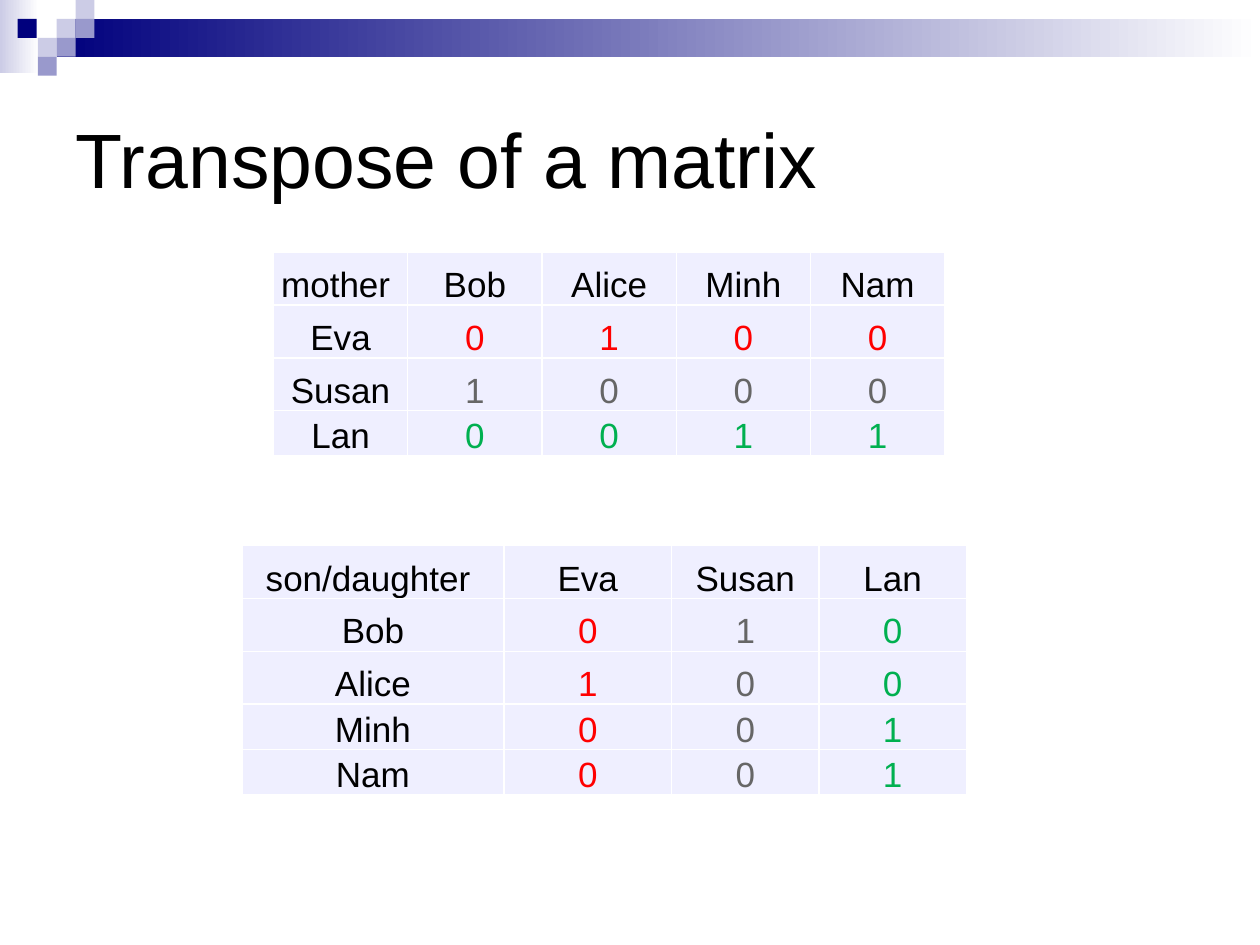
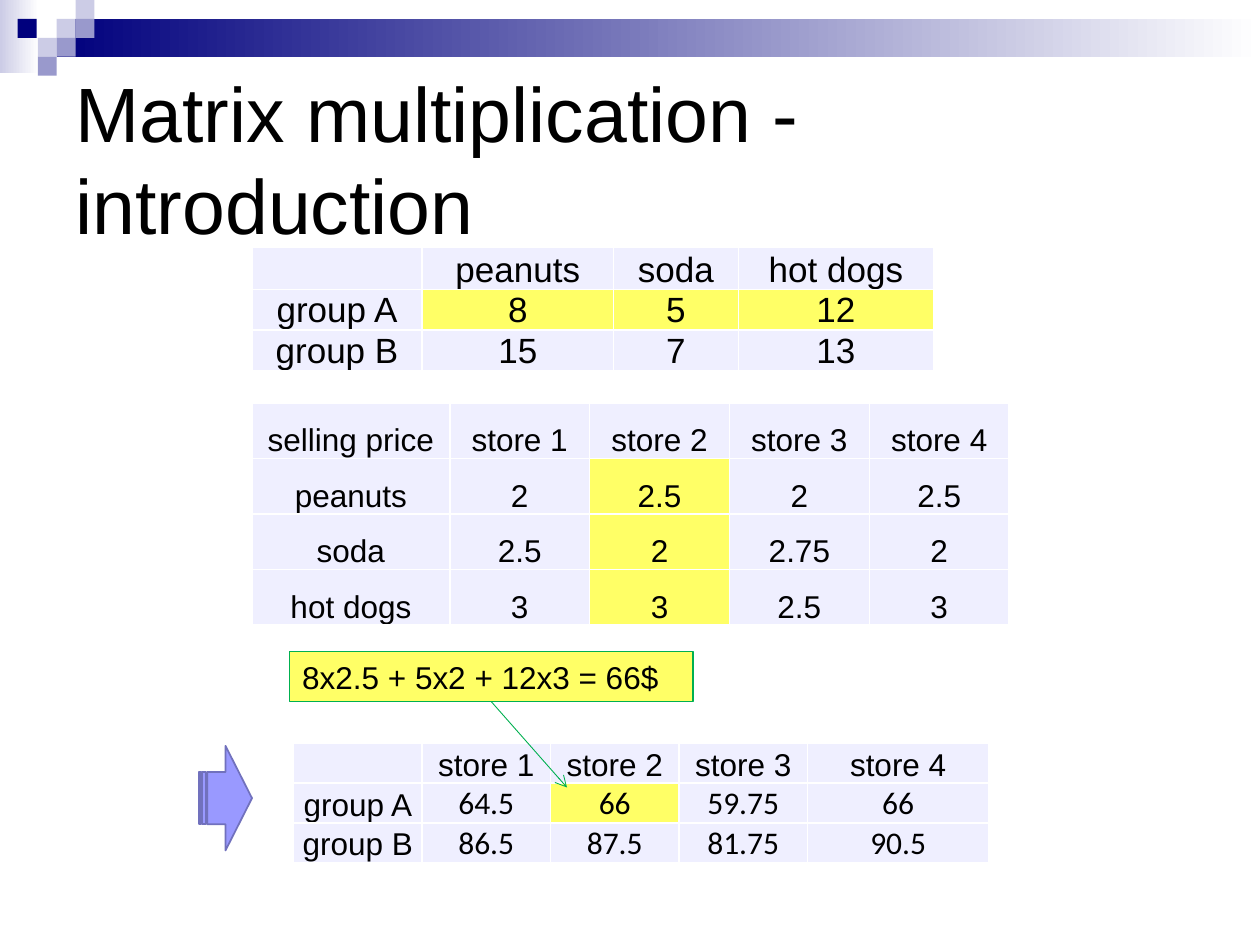
from dataclasses import dataclass

from lxml import etree
from pptx import Presentation
from pptx.dml.color import RGBColor
from pptx.enum.dml import MSO_THEME_COLOR
from pptx.enum.shapes import MSO_CONNECTOR, MSO_SHAPE
from pptx.enum.text import MSO_ANCHOR, PP_ALIGN
from pptx.oxml.ns import qn
from pptx.shapes.autoshape import Shape
from pptx.slide import Slide, SlideLayout
from pptx.table import _Cell
from pptx.util import Inches, Pt

RECTANGLE = MSO_SHAPE.RECTANGLE
STRIPED_ARROW = MSO_SHAPE.STRIPED_RIGHT_ARROW
STRAIGHT = MSO_CONNECTOR.STRAIGHT
MIDDLE = MSO_ANCHOR.MIDDLE
BOTTOM = MSO_ANCHOR.BOTTOM
TOP = MSO_ANCHOR.TOP
CENTER = PP_ALIGN.CENTER
LEFT = PP_ALIGN.LEFT
BACKGROUND = MSO_THEME_COLOR.BACKGROUND_1

BLACK = RGBColor(0x00, 0x00, 0x00)
WHITE = RGBColor(0xFF, 0xFF, 0xFF)
NAVY = RGBColor(0x00, 0x00, 0x7D)
LAVENDER = RGBColor(0xCC, 0xCC, 0xE6)
PERIWINKLE = RGBColor(0x99, 0x99, 0xCC)
ARROW_FILL = RGBColor(0x99, 0x99, 0xFF)
ARROW_LINE = RGBColor(0x71, 0x71, 0xBD)
CELL_FILL = RGBColor(0xEF, 0xEF, 0xFF)
YELLOW = RGBColor(0xFF, 0xFF, 0x66)
RED = RGBColor(0xFF, 0x00, 0x00)
GRAY = RGBColor(0x66, 0x66, 0x66)
GREEN = RGBColor(0x00, 0xB0, 0x50)

FONT = "Arial"
NUMBER_FONT = "Calibri"


@dataclass(frozen=True)
class Block:
    left: float
    top: float
    width: float
    height: float
    color: RGBColor
    fades: bool = False


@dataclass(frozen=True)
class Matrix:
    left: float
    top: float
    column_widths: tuple[float, ...]
    row_heights: tuple[float, ...]
    rows: tuple[tuple[str, ...], ...]
    size: int
    row_colors: tuple[RGBColor, ...] = ()
    column_colors: tuple[RGBColor, ...] = ()
    highlights: tuple[tuple[int, int], ...] = ()
    body_font: str = FONT


SQUARE = 0.15
BAND_BLOCKS = (
    Block(0, 0, 0.31, 0.58, LAVENDER, True),
    Block(0.45, 0.15, 9.55, 0.3, NAVY, True),
    *(
        Block(left, top, SQUARE, SQUARE, color)
        for left, top, color in (
            (0.45, 0.15, LAVENDER),
            (0.6, 0, LAVENDER),
            (0.6, 0.15, PERIWINKLE),
            (0.3, 0.3, LAVENDER),
            (0.14, 0.15, NAVY),
            (0.45, 0.3, PERIWINKLE),
            (0.3, 0.45, PERIWINKLE),
        )
    ),
)

PARENT_COLORS = (RED, GRAY, GREEN)
MOTHERS = (
    ("mother ", "Bob", "Alice", "Minh", "Nam"),
    ("Eva", "0", "1", "0", "0"),
    ("Susan", "1", "0", "0", "0"),
    ("Lan", "0", "0", "1", "1"),
)
CHILDREN_HEADER, *CHILDREN = zip(*MOTHERS)
CHILDREN_ROWS = (("son/daughter ", *CHILDREN_HEADER[1:]), *CHILDREN)

TRANSPOSE_MATRICES = (
    Matrix(2.17, 2, (1.066,) * 5, (0.42,) * 3 + (0.36,), MOTHERS, 20,
           row_colors=PARENT_COLORS),
    Matrix(1.92, 4.33, (2.08, 1.33, 1.17, 1.17), (0.42,) * 3 + (0.36,) * 2,
           CHILDREN_ROWS, 20, column_colors=PARENT_COLORS),
)

STORES = tuple(f"store {number}" for number in range(1, 5))
PRODUCT_MATRICES = (
    Matrix(2, 1.96, (1.35, 1.52, 0.99, 1.55), (0.34, 0.32, 0.32), (
        ("", "peanuts", "soda", "hot dogs"),
        ("group A", "8", "5", "12"),
        ("group B", "15", "7", "13"),
    ), 20, highlights=((1, 1), (1, 2), (1, 3))),
    Matrix(2, 3.2, (1.57,) + (1.11,) * 4, (0.44,) * 4, (
        ("selling price", *STORES),
        ("peanuts", "2", "2.5", "2", "2.5"),
        ("soda", "2.5", "2", "2.75", "2"),
        ("hot dogs", "3", "3", "2.5", "3"),
    ), 18, highlights=((1, 2), (2, 2), (3, 2))),
    Matrix(2.33, 5.9, (1.02,) * 4 + (1.44,), (0.31,) * 3, (
        ("", *STORES),
        ("group A", "64.5", "66", "59.75", "66"),
        ("group B", "86.5", "87.5", "81.75", "90.5"),
    ), 18, highlights=((1, 2),), body_font=NUMBER_FONT),
)


def add_block(slide: Slide, block: Block) -> Shape:
    shape = slide.shapes.add_shape(
        RECTANGLE, Inches(block.left), Inches(block.top),
        Inches(block.width), Inches(block.height))
    shape.shadow.inherit = False
    shape.line.fill.background()
    if block.fades:
        shape.fill.gradient()
        shape.fill.gradient_angle = 0
        for stop, color, position in zip(
                shape.fill.gradient_stops, (block.color, WHITE), (0, 1)):
            stop.color.rgb = color
            stop.position = position
    else:
        shape.fill.solid()
        shape.fill.fore_color.rgb = block.color
    return shape


def add_band_to_layout(slide: Slide, layout: SlideLayout) -> None:
    for placeholder in list(layout.placeholders):
        if placeholder.placeholder_format.idx != 0:
            layout.shapes.element.remove(placeholder.element)
    shapes = [add_block(slide, block) for block in BAND_BLOCKS]
    for position, shape in enumerate(shapes, start=2):
        layout.shapes.element.insert(position, shape.element)


def format_title(slide: Slide, text: str) -> None:
    title = slide.shapes.title
    title.left, title.top = Inches(0.5), Inches(0.5)
    title.width, title.height = Inches(9), Inches(1.5)
    title.text_frame.text = text
    title.text_frame.vertical_anchor = MIDDLE
    title.text_frame.word_wrap = True
    paragraph = title.text_frame.paragraphs[0]
    paragraph.alignment = LEFT
    style_runs(paragraph, FONT, 44, BLACK)


def style_runs(paragraph, font_name: str, size: int, color: RGBColor) -> None:
    for run in paragraph.runs:
        run.font.name = font_name
        run.font.size = Pt(size)
        run.font.bold = False
        run.font.color.rgb = color


def add_borders(cell: _Cell) -> None:
    properties = cell._tc.get_or_add_tcPr()
    for side in ("a:lnL", "a:lnR", "a:lnT", "a:lnB"):
        line = etree.SubElement(properties, qn(side), w=str(Pt(1)))
        fill = etree.SubElement(line, qn("a:solidFill"))
        etree.SubElement(fill, qn("a:srgbClr"), val=str(WHITE))


def text_color(matrix: Matrix, row: int, column: int) -> RGBColor:
    if row and column and matrix.row_colors:
        return matrix.row_colors[row - 1]
    if row and column and matrix.column_colors:
        return matrix.column_colors[column - 1]
    return BLACK


def add_matrix(slide: Slide, matrix: Matrix) -> None:
    table = slide.shapes.add_table(
        len(matrix.rows), len(matrix.column_widths),
        Inches(matrix.left), Inches(matrix.top),
        Inches(sum(matrix.column_widths)), Inches(sum(matrix.row_heights))).table
    table.first_row = False
    table.horz_banding = False
    for column, width in zip(table.columns, matrix.column_widths):
        column.width = Inches(width)
    for row, height in zip(table.rows, matrix.row_heights):
        row.height = Inches(height)
    for row_index, values in enumerate(matrix.rows):
        for column_index, value in enumerate(values):
            cell = table.cell(row_index, column_index)
            cell.text_frame.text = value
            cell.vertical_anchor = BOTTOM
            cell.margin_left = cell.margin_right = cell.margin_top = Inches(0.01)
            cell.margin_bottom = 0
            add_borders(cell)
            highlighted = (row_index, column_index) in matrix.highlights
            cell.fill.solid()
            cell.fill.fore_color.rgb = YELLOW if highlighted else CELL_FILL
            paragraph = cell.text_frame.paragraphs[0]
            paragraph.alignment = CENTER
            in_body = row_index > 0 and column_index > 0
            style_runs(paragraph, matrix.body_font if in_body else FONT,
                       matrix.size, text_color(matrix, row_index, column_index))


def add_result_arrow(slide: Slide) -> None:
    arrow = slide.shapes.add_shape(
        STRIPED_ARROW, Inches(1.58), Inches(5.92), Inches(0.42), Inches(0.83))
    arrow.shadow.inherit = False
    arrow.fill.solid()
    arrow.fill.fore_color.rgb = ARROW_FILL
    arrow.line.color.rgb = ARROW_LINE
    arrow.line.width = Pt(1)


def add_calculation(slide: Slide) -> None:
    box = add_block(slide, Block(2.3, 5.17, 3.2, 0.4, YELLOW))
    box.line.color.rgb = GREEN
    box.line.width = Pt(0.75)
    box.text_frame.text = "8x2.5 + 5x2 + 12x3 = 66$"
    box.text_frame.vertical_anchor = TOP
    box.text_frame.word_wrap = True
    paragraph = box.text_frame.paragraphs[0]
    paragraph.alignment = LEFT
    style_runs(paragraph, FONT, 18, BLACK)

    pointer = slide.shapes.add_connector(
        STRAIGHT, Inches(3.9), Inches(5.57), Inches(4.5), Inches(6.25))
    pointer.line.color.rgb = GREEN
    pointer.line.width = Pt(0.5)
    etree.SubElement(pointer.line._get_or_add_ln(), qn("a:tailEnd"), type="arrow")
    etree.SubElement(pointer._element.spPr, qn("a:effectLst"))


def main() -> None:
    presentation = Presentation()
    presentation.slide_width = Inches(10)
    presentation.slide_height = Inches(7.5)
    layout = presentation.slide_layouts[5]
    background = presentation.slide_master.background.fill
    background.solid()
    background.fore_color.theme_color = BACKGROUND

    transpose_slide = presentation.slides.add_slide(layout)
    add_band_to_layout(transpose_slide, layout)
    format_title(transpose_slide, "Transpose of a matrix")
    for matrix in TRANSPOSE_MATRICES:
        add_matrix(transpose_slide, matrix)

    product_slide = presentation.slides.add_slide(layout)
    format_title(product_slide, "Matrix multiplication - introduction")
    for matrix in PRODUCT_MATRICES:
        add_matrix(product_slide, matrix)
    add_result_arrow(product_slide)
    add_calculation(product_slide)

    presentation.save("out.pptx")


main()
